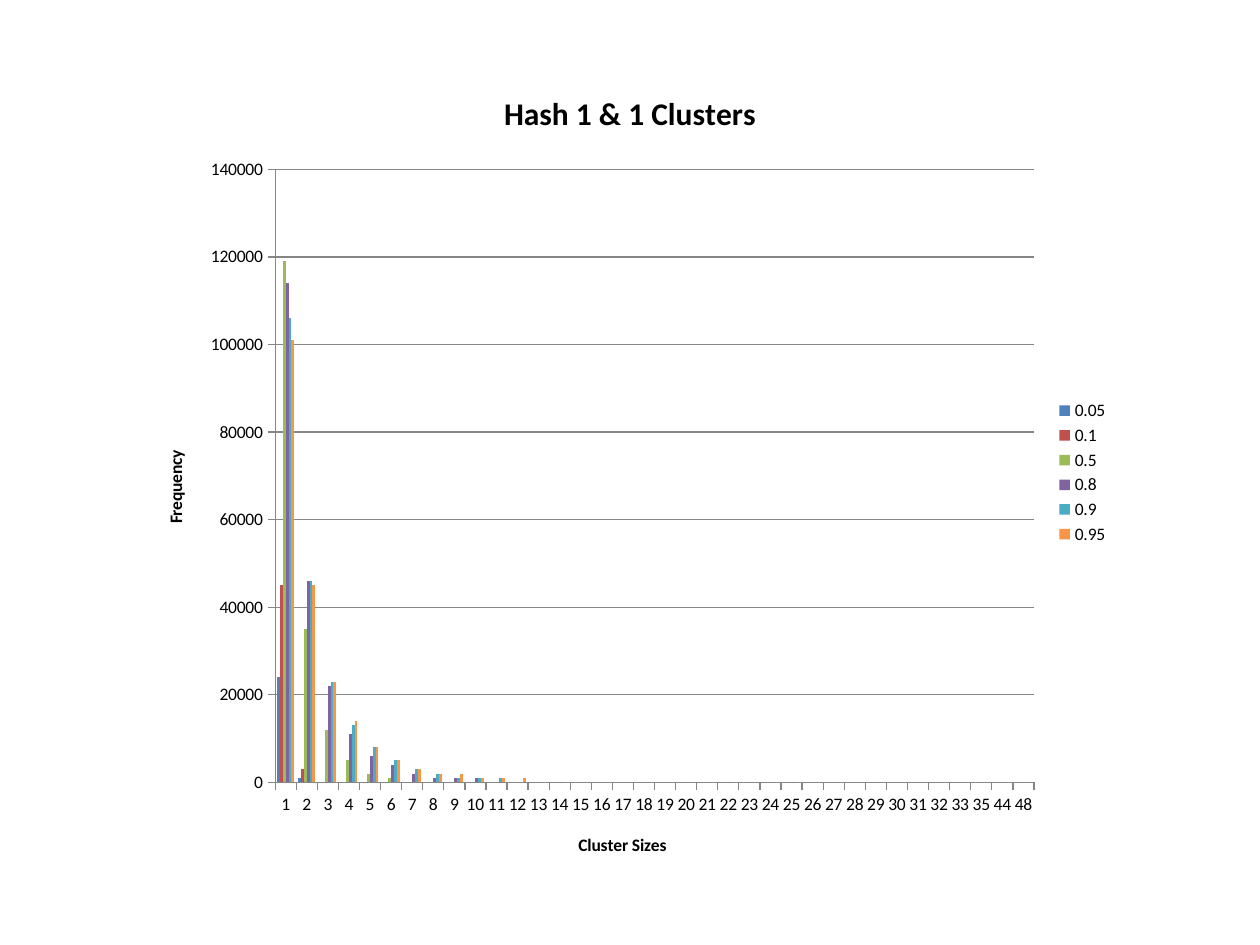
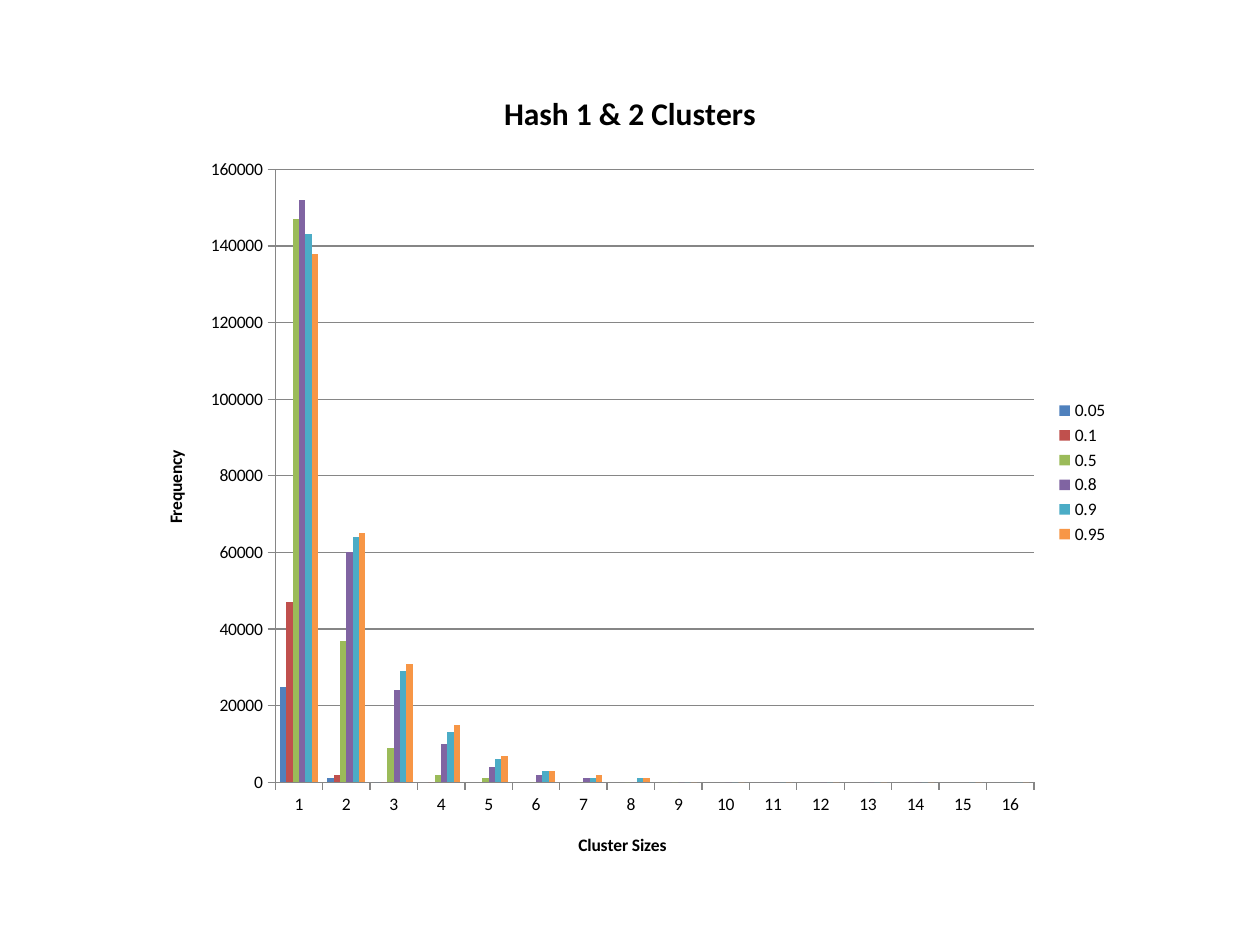
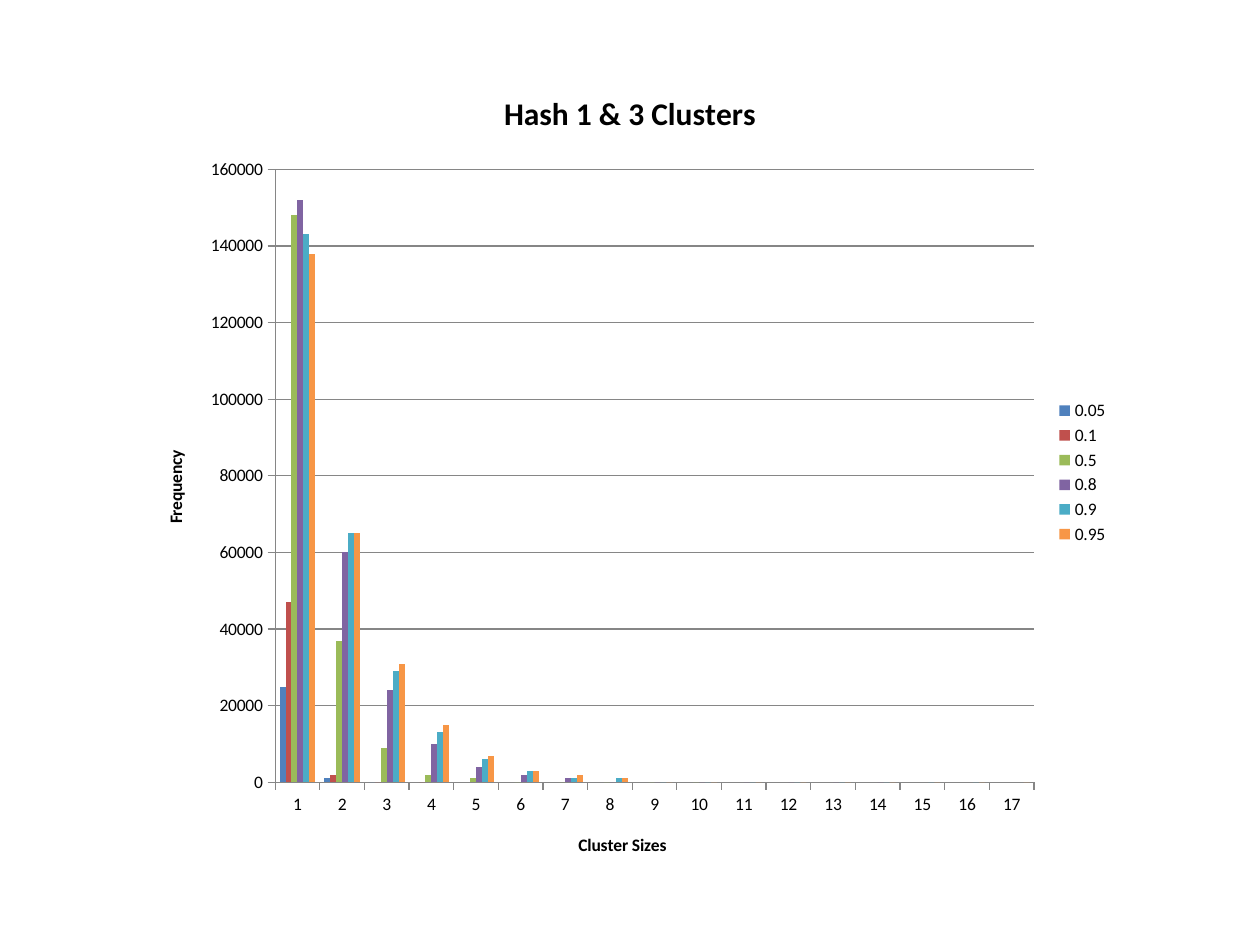
"""Build three slides that chart hash cluster sizes by load factor."""
from pptx import Presentation
from pptx.chart.data import CategoryChartData
from pptx.dml.color import RGBColor
from pptx.enum.chart import XL_CHART_TYPE, XL_LEGEND_POSITION, XL_TICK_MARK
from pptx.util import Inches, Pt

FONT = "Calibri"
BLACK = RGBColor(0x00, 0x00, 0x00)
GREY = RGBColor(0x86, 0x86, 0x86)
LOADS = {
    "0.05": RGBColor(0x4F, 0x81, 0xBD),
    "0.1": RGBColor(0xC0, 0x50, 0x4D),
    "0.5": RGBColor(0x9B, 0xBB, 0x59),
    "0.8": RGBColor(0x80, 0x64, 0xA2),
    "0.9": RGBColor(0x4B, 0xAC, 0xC6),
    "0.95": RGBColor(0xF7, 0x96, 0x46),
}
CHARTS = [
    {
        "title": "Hash 1 & 1 Clusters",
        "sizes": [*range(1, 34), 35, 44, 48],
        "thousands": [
            [24, 1] + [0] * 2,
            [45, 3] + [0] * 3,
            [119, 35, 12, 5, 2, 1] + [0] * 8,
            [114, 46, 22, 11, 6, 4, 2, 1, 1, 1] + [0] * 17,
            [106, 46, 23, 13, 8, 5, 3, 2, 1, 1, 1] + [0] * 23,
            [101, 45, 23, 14, 8, 5, 3, 2, 2, 1, 1, 1] + [0] * 24,
        ],
    },
    {
        "title": "Hash 1 & 2 Clusters",
        "sizes": range(1, 17),
        "thousands": [
            [25, 1, 0],
            [47, 2] + [0] * 2,
            [147, 37, 9, 2, 1] + [0] * 4,
            [152, 60, 24, 10, 4, 2, 1] + [0] * 7,
            [143, 64, 29, 13, 6, 3, 1, 1] + [0] * 8,
            [138, 65, 31, 15, 7, 3, 2, 1] + [0] * 8,
        ],
    },
    {
        "title": "Hash 1 & 3 Clusters",
        "sizes": range(1, 18),
        "thousands": [
            [25, 1, 0],
            [47, 2] + [0] * 2,
            [148, 37, 9, 2, 1] + [0] * 5,
            [152, 60, 24, 10, 4, 2, 1] + [0] * 7,
            [143, 65, 29, 13, 6, 3, 1, 1] + [0] * 8,
            [138, 65, 31, 15, 7, 3, 2, 1] + [0] * 9,
        ],
    },
]


def style_font(font, size, bold=False):
    font.name = FONT
    font.size = Pt(size)
    font.bold = bold
    font.color.rgb = BLACK


def write_title(frame, text, size):
    span = frame.paragraphs[0].add_run()
    span.text = text
    style_font(span.font, size, bold=True)


def style_line(line):
    line.color.rgb = GREY
    line.width = Pt(0.75)


def style_axis(axis, title):
    write_title(axis.axis_title.text_frame, title, 10)
    axis.major_tick_mark = XL_TICK_MARK.OUTSIDE
    axis.minor_tick_mark = XL_TICK_MARK.NONE
    style_font(axis.tick_labels.font, 10)
    style_line(axis.format.line)


def add_cluster_chart(page, content):
    data = CategoryChartData()
    data.categories = [str(size) for size in content["sizes"]]
    for load, counts in zip(LOADS, content["thousands"]):
        data.add_series(load, [count * 1000 for count in counts])
    chart = page.shapes.add_chart(
        XL_CHART_TYPE.COLUMN_CLUSTERED,
        Inches(1.1), Inches(0.5), Inches(7.8), Inches(6.5), data,
    ).chart
    style_font(chart.font, 10)
    chart.has_title = True
    write_title(chart.chart_title.text_frame, content["title"], 18)
    chart.has_legend = True
    chart.legend.position = XL_LEGEND_POSITION.RIGHT
    chart.legend.include_in_layout = False
    style_font(chart.legend.font, 10)
    style_axis(chart.category_axis, "Cluster Sizes")
    style_axis(chart.value_axis, "Frequency")
    chart.value_axis.has_major_gridlines = True
    style_line(chart.value_axis.major_gridlines.format.line)
    plot = chart.plots[0]
    plot.gap_width = 150
    plot.overlap = 0
    plot.vary_by_categories = False
    for series, color in zip(plot.series, LOADS.values()):
        series.format.fill.solid()
        series.format.fill.fore_color.rgb = color


deck = Presentation()
deck.slide_width, deck.slide_height = Inches(10), Inches(7.5)
blank_layout = deck.slide_layouts[6]
for content in CHARTS:
    add_cluster_chart(deck.slides.add_slide(blank_layout), content)
deck.save("out.pptx")
